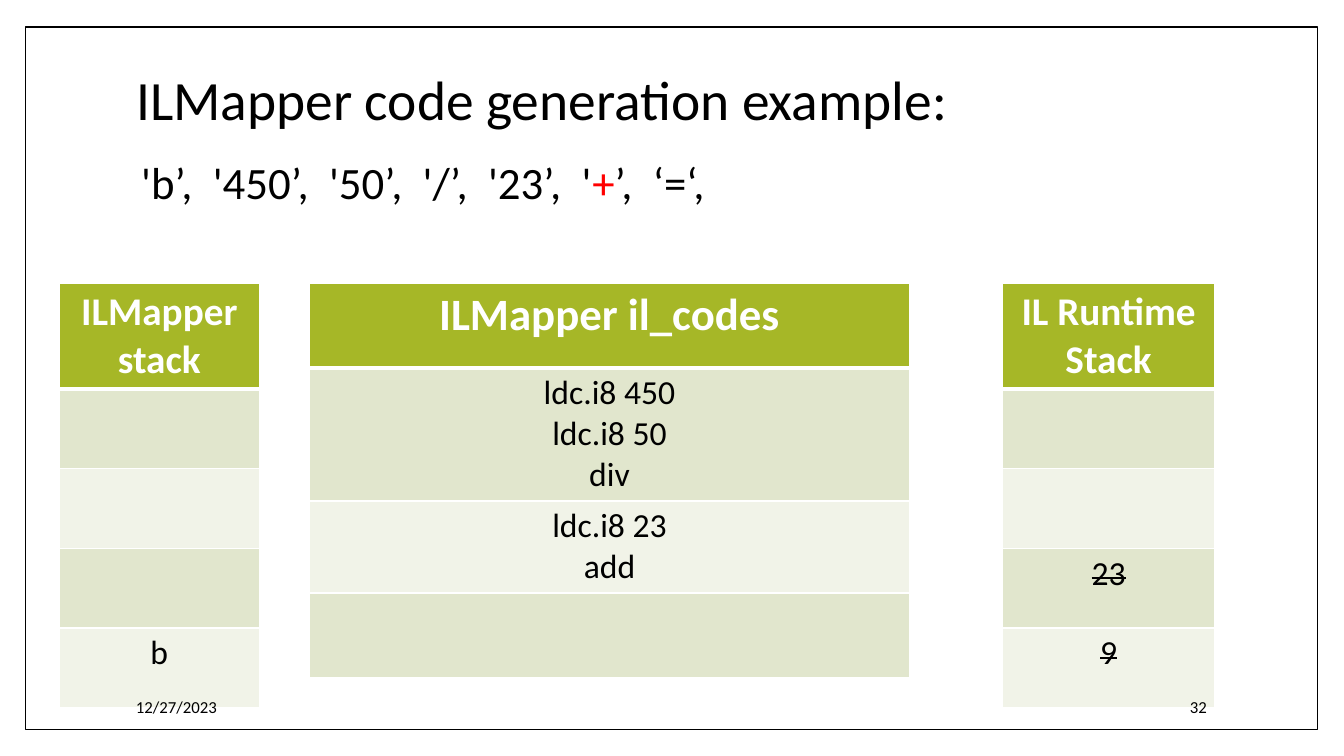
from lxml.etree import SubElement
from pptx import Presentation
from pptx.dml.color import RGBColor
from pptx.enum.shapes import MSO_SHAPE as SHAPE
from pptx.enum.text import MSO_ANCHOR as ANCHOR, MSO_AUTO_SIZE as AUTO, PP_ALIGN as ALIGN
from pptx.oxml.ns import qn
from pptx.util import Pt

SCALE = 9144
COLORS = {"text": "000000", "paper": "FFFFFF", "accent": "FF0000",
          "header": "A6B727", "odd": "E1E6CD", "even": "F1F3E8"}


def px(*values):
    return [v * SCALE for v in values]


def rgb(name):
    return RGBColor.from_string(COLORS[name])


def style(font, size, color="text", bold=False):
    for name, value in {"name": "Calibri", "size": Pt(size), "bold": bold}.items():
        setattr(font, name, value)
    font.color.rgb = rgb(color)


def place(shape, box):
    for name, value in zip(("left", "top", "width", "height"), px(*box)):
        setattr(shape, name, value)


def set_frame(tf, anchor):
    for name, value in {"word_wrap": True, "auto_size": AUTO.NONE,
                        "vertical_anchor": anchor}.items():
        setattr(tf, name, value)


def add_border(s, box):
    sp = s.shapes.add_shape(SHAPE.RECTANGLE, *px(*box))
    sp.shadow.inherit = False
    sp.fill.solid()
    sp.fill.fore_color.rgb = rgb("paper")
    sp.line.color.rgb = rgb("text")
    sp.line.width = Pt(1)
    s.shapes._spTree.insert(2, sp._element)


def fill_title(s, box, text):
    sp = s.shapes.title
    place(sp, box)
    set_frame(sp.text_frame, ANCHOR.MIDDLE)
    sp.text_frame.text = text
    p = sp.text_frame.paragraphs[0]
    p.alignment = ALIGN.LEFT
    p.line_spacing = 0.9
    style(p.runs[0].font, 39.6)


def fill_tokens(s, box, parts):
    sp = s.placeholders[1]
    place(sp, box)
    set_frame(sp.text_frame, ANCHOR.TOP)
    p = sp.text_frame.paragraphs[0]
    pPr = p._p.get_or_add_pPr()
    pPr.set("marL", str(5 * SCALE))
    pPr.set("indent", "0")
    SubElement(pPr, qn("a:buNone"))
    p.line_spacing = 0.9
    p.space_before = Pt(0)
    for text, color in parts:
        r = p.add_run()
        r.text = text
        style(r.font, 32, color)


def set_borders(cell, row):
    tcPr = cell._tc.get_or_add_tcPr()
    widths = {"L": 1, "R": 1, "T": 3 if row == 1 else 1, "B": 3 if row == 0 else 1}
    for i, (side, width) in enumerate(widths.items()):
        ln = SubElement(tcPr, qn(f"a:ln{side}"), w=str(Pt(width)))
        fill = SubElement(ln, qn("a:solidFill"))
        SubElement(fill, qn("a:srgbClr"), val=COLORS["paper"])
        tcPr.insert(i, ln)


def add_stack(s, box, row_height, header_size, texts, struck=False):
    table = s.shapes.add_table(len(texts), 1, *px(*box)).table
    for i, text in enumerate(texts):
        table.rows[i].height = row_height * SCALE
        cell = table.cell(i, 0)
        cell.text = text
        cell.fill.solid()
        cell.fill.fore_color.rgb = rgb("header" if i == 0 else "odd" if i % 2 else "even")
        set_borders(cell, i)
        for p in cell.text_frame.paragraphs:
            p.alignment = ALIGN.CENTER
            for r in p.runs:
                if i == 0:
                    style(r.font, header_size, "paper", True)
                else:
                    style(r.font, 24)
                    if struck:
                        r._r.get_or_add_rPr().set("strike", "sngStrike")


def add_footer(s, box, text, align):
    tf = s.shapes.add_textbox(*px(*box)).text_frame
    set_frame(tf, ANCHOR.MIDDLE)
    tf.text = text
    p = tf.paragraphs[0]
    p.alignment = align
    style(p.runs[0].font, 12)


def build_slide(prs):
    s = prs.slides.add_slide(prs.slide_layouts[1])
    add_border(s, (25, 27, 1282, 697))
    fill_title(s, (125, 67, 1080, 70), "ILMapper code generation example:")
    fill_tokens(s, (125, 154, 799, 114), [
        ("'b’,  '450’,  '50’,  '/’,  '23’,  '", "text"),
        ("+", "accent"), ("’,  ‘=‘,", "text")])
    add_stack(s, (59, 281, 198, 420), 79, 28, ["ILMapper\nstack", "", "", "", "b"])
    add_stack(s, (994, 281, 211, 420), 79, 28,
              ["IL Runtime Stack", "", "", "23", "9"], struck=True)
    add_stack(s, (307, 281, 595, 388), 84, 32, [
        "ILMapper il_codes", "ldc.i8 450\nldc.i8 50\ndiv", "ldc.i8 23\nadd", ""])
    add_footer(s, (125, 681, 255, 40), "12/27/2023", ALIGN.LEFT)
    add_footer(s, (1020, 681, 187, 40), "32", ALIGN.RIGHT)


def main():
    prs = Presentation()
    prs.slide_width, prs.slide_height = px(1333, 750)
    build_slide(prs)
    prs.save("out.pptx")


if __name__ == "__main__":
    main()
